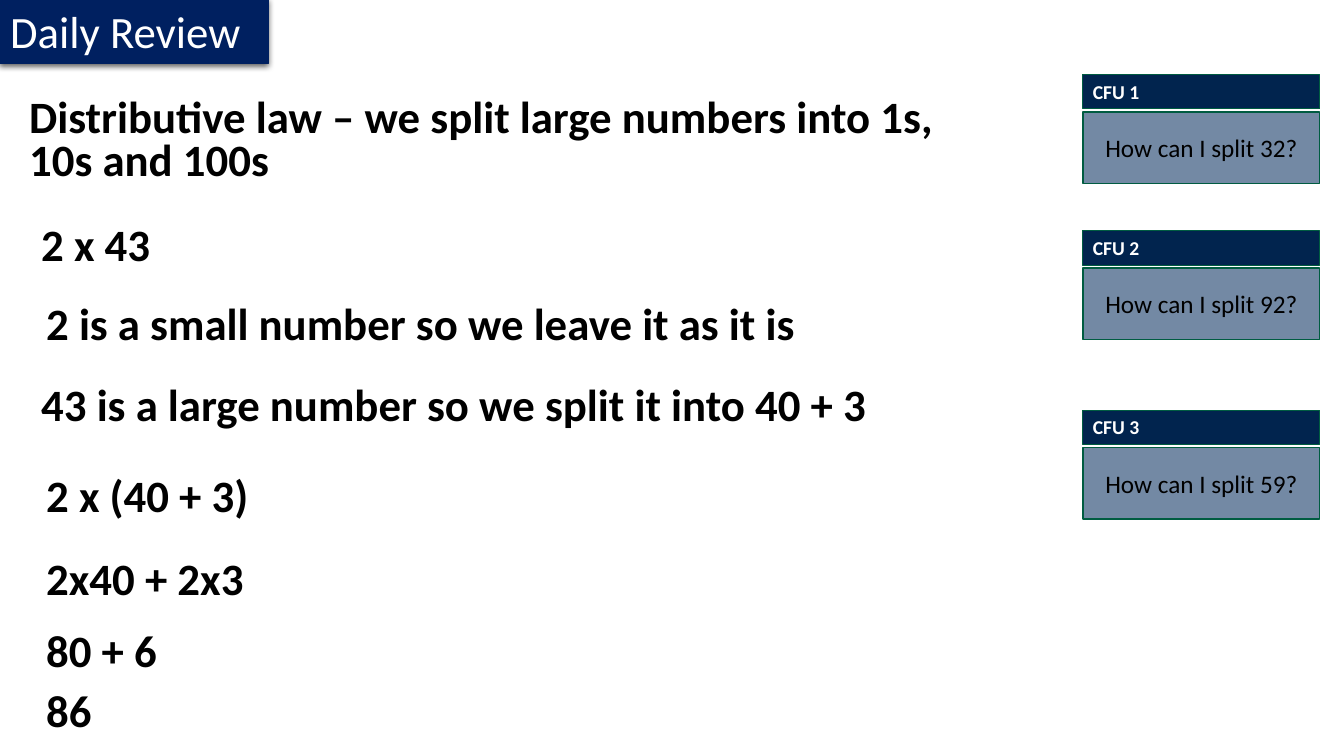
from lxml import etree
from pptx import Presentation
from pptx.dml.color import RGBColor
from pptx.enum.shapes import MSO_SHAPE
from pptx.enum.text import MSO_ANCHOR, MSO_AUTO_SIZE, PP_ALIGN
from pptx.oxml import parse_xml
from pptx.oxml.ns import nsdecls, qn
from pptx.util import Inches, Pt

RECT = MSO_SHAPE.RECTANGLE
TOP, MID = MSO_ANCHOR.TOP, MSO_ANCHOR.MIDDLE
LEFT, MIDDLE = PP_ALIGN.LEFT, PP_ALIGN.CENTER
FIXED = MSO_AUTO_SIZE.NONE

BLACK = RGBColor(0, 0, 0)
WHITE = RGBColor(255, 255, 255)
NAVY = RGBColor(0x00, 0x20, 0x60)
DARK = RGBColor(0x01, 0x24, 0x4E)
SLATE = RGBColor(0x16, 0x3B, 0x68)
GREEN = RGBColor(0x00, 0x5C, 0x41)


class Board:
    """Holds the style and the slide; places are percent of the slide size."""

    font = "Calibri"

    def __init__(self):
        self.deck = Presentation()
        self.deck.slide_width = Inches(13.33)
        self.deck.slide_height = Inches(7.5)
        self.slide = self.deck.slides.add_slide(self.deck.slide_layouts[5])

    def area(self, x, y, w, h):
        wide, high = self.deck.slide_width, self.deck.slide_height
        return [int(part * size / 100)
                for part, size in zip((x, y, w, h), (wide, high, wide, high))]

    def label(self, shape, text, size, color, bold=False, align=LEFT,
              anchor=TOP, wrap=True, space=None):
        frame = shape.text_frame
        frame.text = text
        frame.auto_size = FIXED
        frame.word_wrap = wrap
        frame.vertical_anchor = anchor
        para = frame.paragraphs[0]
        para.alignment = align
        para.line_spacing = space
        font = para.font
        font.name, font.size, font.bold = self.font, Pt(size), bold
        font.color.rgb = color

    def paint(self, shape, fill, line, width):
        shape.fill.solid()
        shape.fill.fore_color.rgb = fill
        shape.line.color.rgb = line
        shape.line.width = Pt(width)

    def title(self, text, *place):
        tag = self.slide.shapes.title
        tag.left, tag.top, tag.width, tag.height = self.area(*place)
        self.paint(tag, NAVY, NAVY, 0.75)
        # Arrow outline and soft shadow
        props = tag._element.spPr
        props.insert(1, parse_xml(
            f'<a:prstGeom {nsdecls("a")} prst="homePlate"><a:avLst/></a:prstGeom>'))
        props.append(parse_xml(
            f'<a:effectLst {nsdecls("a")}><a:outerShdw blurRad="{Pt(4.5)}" '
            f'dist="{Pt(1.5)}" dir="5400000" rotWithShape="0">'
            '<a:srgbClr val="000000"><a:alpha val="63000"/></a:srgbClr>'
            '</a:outerShdw></a:effectLst>'))
        self.label(tag, text, 32, WHITE, wrap=False, space=1.0)

    def line(self, text, x, y, w=73.29, h=9.6, space=0.9):
        box = self.slide.shapes.add_textbox(*self.area(x, y, w, h))
        self.label(box, text, 32, BLACK, bold=True, space=space)

    def block(self, group, place, fill, width):
        shape = group.shapes.add_shape(RECT, *self.area(*place))
        shape.shadow.inherit = False
        self.paint(shape, fill, GREEN, width)
        return shape

    def card(self, head, ask, y, x=80.57, w=17.63):
        group = self.slide.shapes.add_group_shape()
        bar = self.block(group, (x, y, w, 4.53), DARK, 0.75)
        self.label(bar, head, 14, WHITE, bold=True)
        body = self.block(group, (x, y + 4.93, w, 9.47), SLATE, 1)
        tint = body._element.spPr.find(qn("a:solidFill") + "/" + qn("a:srgbClr"))
        etree.SubElement(tint, qn("a:alpha")).set("val", "60000")
        self.label(body, ask, 18, BLACK, align=MIDDLE, anchor=MID)


def main():
    board = Board()

    # Heading tag
    board.title("Daily Review", 0, -0.13, 19.95, 8.53)

    # Rule and worked steps
    board.line("Distributive law – we split large numbers into 1s, 10s and 100s",
               1.43, 12.4, h=13.33, space=0.8)
    edge, inner = 2.33, 2.7
    steps = [
        ("2 x 43", edge, 28.8),
        ("2 is a small number so we leave it as it is", inner, 39.2),
        ("43 is a large number so we split it into 40 + 3", edge, 50),
        ("2 x (40 + 3)", inner, 62),
        ("2x40 + 2x3", inner, 72.93),
        ("80 + 6", inner, 82.53),
        ("86", inner, 90.4),
    ]
    for text, x, y in steps:
        board.line(text, x, y)

    # Question cards
    cards = [(32, 9.87), (92, 30.53), (59, 54.27)]
    for count, (number, y) in enumerate(cards, 1):
        board.card(f"CFU {count}", f"How can I split {number}?", y)

    board.deck.save("out.pptx")


if __name__ == "__main__":
    main()
